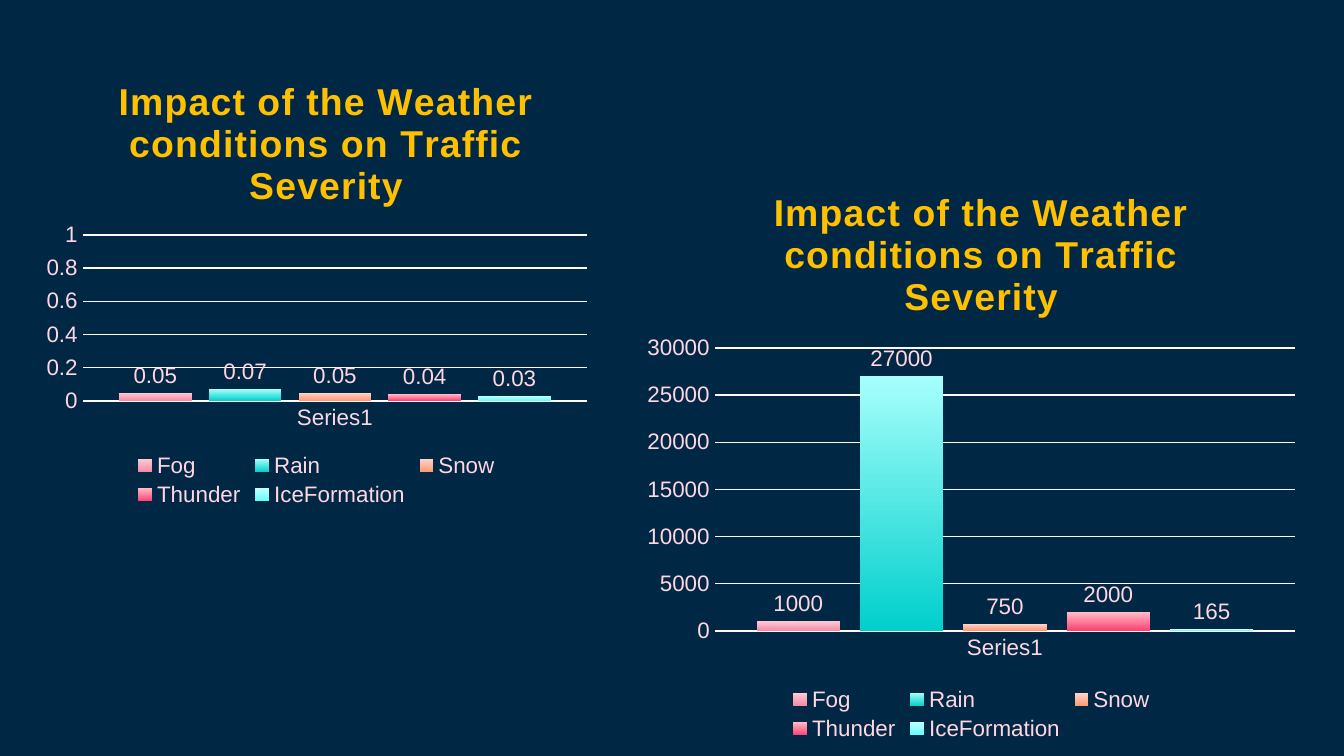
from lxml import etree
from pptx import Presentation, util as u
from pptx.chart.data import CategoryChartData
from pptx.dml.color import RGBColor
from pptx.enum import chart as ch
from pptx.oxml.ns import qn

PX = 914400 / 134.4  # EMU in one px
INK = {"back": "002845", "title": "FFC000", "label": "FFD6E1",
       "line": "FFF9FA", "base": "1A5E8F"}
# Series name: bottom and top colour of its bars
BARS = {"Fog": ("F48CA6", "FFC9D4"), "Rain": ("00CFCC", "A6FFFC"),
        "Snow": ("FF9973", "FFD4C9"), "Thunder": ("FF4071", "FFBDC7"),
        "IceFormation": ("5EFFFD", "C5FFFE")}
TITLE = "Impact of the Weather conditions on Traffic Severity"


def emu(px):
    return u.Emu(round(px * PX))


def rgb(name):
    return RGBColor.from_string(INK.get(name, name))


class Deck:
    def __init__(self, wide, high):
        self.prs = Presentation()
        self.prs.slide_width, self.prs.slide_height = emu(wide), emu(high)
        self.slide = self.prs.slides.add_slide(self.prs.slide_layouts[6])
        fill = self.slide.background.fill
        fill.solid()
        fill.fore_color.rgb = rgb("back")

    def font(self, font, size, ink, bold=False):
        font.name, font.size, font.bold = "Arial", u.Pt(size), bold
        font.color.rgb = rgb(ink)

    def line(self, form):
        form.line.color.rgb = rgb("line")
        form.line.width = u.Pt(0.75)

    def place(self, part, box, spot, inner=False):
        """Fix a chart part at spot (px on the slide) within the chart box."""
        old = part.find(qn("c:layout"))
        if old is None:
            old = etree.Element(qn("c:layout"))
            after = part.find(qn("c:tx"))
            part.insert(0 if after is None else part.index(after) + 1, old)
        for kid in list(old):
            old.remove(kid)
        man = etree.SubElement(old, qn("c:manualLayout"))
        x, y, w, h = box
        rows = [("xMode", "edge"), ("yMode", "edge"),
                ("x", (spot[0] - x) / w), ("y", (spot[1] - y) / h)]
        if inner:
            rows = [("layoutTarget", "inner"), *rows,
                    ("w", spot[2] / w), ("h", spot[3] / h)]
        for tag, val in rows:
            etree.SubElement(man, qn("c:" + tag)).set("val", str(val))

    def title(self, chart, box, spot):
        chart.has_title = True
        head = chart.chart_title
        head.include_in_layout = False
        par = head.text_frame.paragraphs[0]
        run = par.add_run()
        run.text = TITLE
        self.font(run.font, 20, "title", True)
        run.font._element.set("spc", "50")
        self.place(head._element, box, spot)

    def axes(self, chart, top, step):
        cat, val = chart.category_axis, chart.value_axis
        for axis in (cat, val):
            axis.major_tick_mark = axis.minor_tick_mark = ch.XL_TICK_MARK.NONE
            self.font(axis.tick_labels.font, 12, "label")
        self.line(cat.format)
        val.format.line.fill.background()
        val.minimum_scale, val.maximum_scale, val.major_unit = 0, top, step
        val.has_major_gridlines = True
        self.line(val.major_gridlines.format)

    def series(self, ser):
        ser.invert_if_negative = False
        fill = ser.format.fill
        fill.gradient()
        fill.gradient_angle = 90
        for stop, ink, at in zip(fill.gradient_stops, BARS[ser.name], (0, 1)):
            stop.color.rgb = rgb(ink)
            stop.position = at
        tags = ser.data_labels
        tags.show_value = True
        tags.position = ch.XL_LABEL_POSITION.OUTSIDE_END
        self.font(tags.font, 12, "label")

    def columns(self, box, head, plot, vals, top, step):
        data = CategoryChartData()
        data.categories = ["Series1"]
        for name, val in zip(BARS, vals):
            data.add_series(name, [val])
        chart = self.slide.shapes.add_chart(
            ch.XL_CHART_TYPE.COLUMN_CLUSTERED, *map(emu, box), data).chart
        self.font(chart.font, 10, "base")
        self.title(chart, box, head)
        self.axes(chart, top, step)
        bars = chart.plots[0]
        bars.vary_by_categories = False
        bars.gap_width, bars.overlap = 100, -24
        for ser in bars.series:
            self.series(ser)
        chart.has_legend = True
        chart.legend.position = ch.XL_LEGEND_POSITION.BOTTOM
        chart.legend.include_in_layout = False
        self.font(chart.legend.font, 12, "label")
        area = chart._chartSpace.find(".//" + qn("c:plotArea"))
        self.place(area, box, plot, inner=True)


deck = Deck(1344, 756)

# Left: shares of each weather condition
deck.columns((35, 43, 563, 469), (112, 71), (83, 235, 504, 166),
             (0.05, 0.07, 0.05, 0.04, 0.03), 1, 0.2)

# Right: counts of each weather condition
deck.columns((634, 152, 675, 594), (767, 182), (715, 348, 580, 283),
             (1000, 27000, 750, 2000, 165), 30000, 5000)

deck.prs.save("out.pptx")
